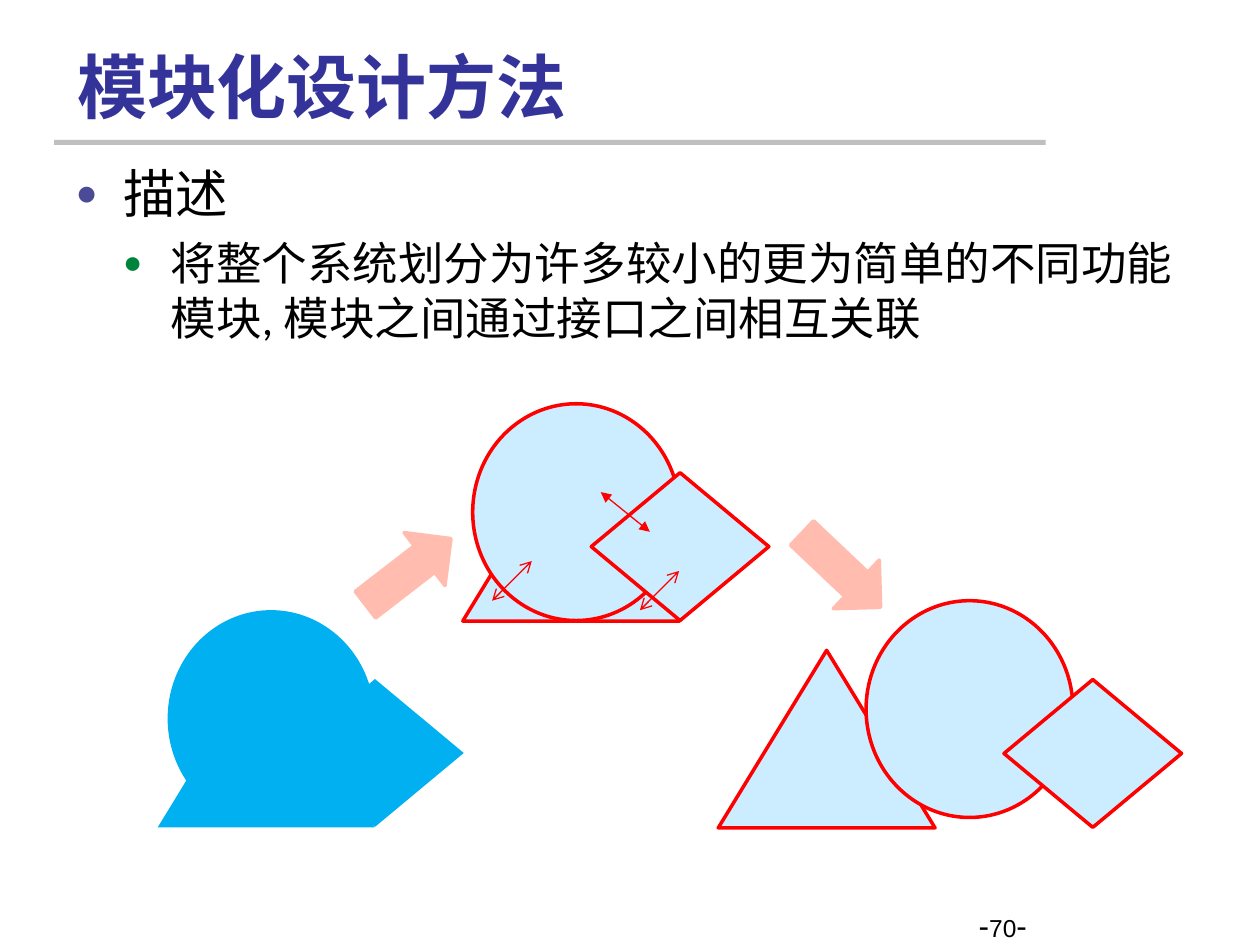
from lxml import etree
from pptx import Presentation
from pptx.dml.color import RGBColor
from pptx.enum.shapes import MSO_CONNECTOR, MSO_SHAPE
from pptx.enum.text import MSO_ANCHOR, MSO_AUTO_SIZE, PP_ALIGN
from pptx.oxml.ns import qn
from pptx.util import Cm, Pt

TRIANGLE = MSO_SHAPE.ISOSCELES_TRIANGLE
CIRCLE = MSO_SHAPE.OVAL
DIAMOND = MSO_SHAPE.FLOWCHART_DECISION
ARROW = MSO_SHAPE.RIGHT_ARROW
RECTANGLE = MSO_SHAPE.RECTANGLE
STRAIGHT = MSO_CONNECTOR.STRAIGHT
LEFT, TOP, BOTTOM = PP_ALIGN.LEFT, MSO_ANCHOR.TOP, MSO_ANCHOR.BOTTOM

# Content: lengths in cm
TITLE = "模块化设计方法"
POINTS = [  # text, level, size, space before, indent, bullet colour
    ("描述", 0, 30, 0, 0.96, "4A4A97"),
    ("将整个系统划分为许多较小的更为简单的不同功能模块, 模块之间通过接口之间相互关联",
     1, 26, 6.5, 1.92, "00843C"),
]
HANGING = 0.96
PAGE_NUMBER = [("-", 18), ("70", 14), ("-", 18)]

MODULE_SIZES = {TRIANGLE: (4.37, 3.58), CIRCLE: (4.17, 4.37), DIAMOND: (3.58, 2.98)}
JOINED = {TRIANGLE: (0, 0.8), CIRCLE: (0.2, 0), DIAMOND: (2.59, 1.39)}
SEPARATED = {TRIANGLE: (0, 1), CIRCLE: (2.98, 0), DIAMOND: (5.76, 1.59)}
INTERFACES = [  # from, to, arrowhead
    ((12.11, 9.92), (13.1, 10.72), "triangle"),
    ((9.92, 12.11), (10.72, 11.31), "arrow"),
    ((12.9, 12.3), (13.69, 11.51), "arrow"),
]
STAGES = [  # origin, module offsets, fill, outline, interfaces
    ((3.18, 12.3), JOINED, "00B0F0", None, []),
    ((9.33, 8.14), JOINED, "CCECFF", "FF0000", INTERFACES),
    ((14.48, 12.11), SEPARATED, "CCECFF", "FF0000", []),
]
STEPS = [(7.14, 10.85, 322.3), (15.87, 10.82, 43.4)]  # left, top, rotation
STEP_SIZE = (2.18, 1.35)


def colour(hex_value):
    return RGBColor.from_string(hex_value)


def place(shape, left, top, width, height):
    for side, value in dict(left=left, top=top, width=width, height=height).items():
        setattr(shape, side, Cm(value))


def set_frame(frame, anchor):
    settings = dict(word_wrap=True, auto_size=MSO_AUTO_SIZE.NONE, vertical_anchor=anchor)
    for name, value in settings.items():
        setattr(frame, name, value)


def add_run(paragraph, text, face, size, hex_value, bold=False):
    run = paragraph.add_run()
    run.text = text
    for name, value in dict(name=face, size=Pt(size), bold=bold).items():
        setattr(run.font, name, value)
    run.font.color.rgb = colour(hex_value)
    latin = run._r.get_or_add_rPr().find(qn("a:latin"))
    east_asian = etree.Element(qn("a:ea"), typeface=face)
    latin.addnext(east_asian)


def add_bullet(paragraph, indent, hex_value):
    props = paragraph._p.get_or_add_pPr()
    props.set("marL", str(Cm(indent)))
    props.set("indent", str(-Cm(HANGING)))
    tint = etree.SubElement(props, qn("a:buClr"))
    etree.SubElement(tint, qn("a:srgbClr"), val=hex_value)
    etree.SubElement(props, qn("a:buSzPct"), val="70000")
    etree.SubElement(props, qn("a:buFont"), typeface="Arial")
    etree.SubElement(props, qn("a:buChar"), char="●")


def add_figure(shapes, kind, box, fill, outline=None):
    figure = shapes.add_shape(kind, *map(Cm, box))
    figure.shadow.inherit = False
    figure.fill.solid()
    figure.fill.fore_color.rgb = colour(fill)
    if outline:
        figure.line.color.rgb = colour(outline)
        figure.line.width = Pt(2)
    else:
        figure.line.fill.background()
    return figure


def add_interface(shapes, start, end, head):
    link = shapes.add_connector(STRAIGHT, *map(Cm, start + end))
    link.line.color.rgb = colour("FF0000")
    link.line.width = Pt(0.75)
    outline = link.line._get_or_add_ln()
    for tag in ("a:headEnd", "a:tailEnd"):
        etree.SubElement(outline, qn(tag), type=head)
    etree.SubElement(link._element.spPr, qn("a:effectLst"))


def main():
    prs = Presentation()
    prs.slide_width, prs.slide_height = Cm(25.4), Cm(19.05)
    slide = prs.slides.add_slide(prs.slide_layouts[1])
    shapes = slide.shapes

    # Title and the rule under it
    title = shapes.title
    place(title, 1.3, 0.71, 20.96, 1.98)
    set_frame(title.text_frame, BOTTOM)
    heading = title.text_frame.paragraphs[0]
    heading.alignment = LEFT
    add_run(heading, TITLE, "Noto Sans CJK SC", 40, "333399", bold=True)
    add_figure(shapes, RECTANGLE, (1.09, 2.82, 19.99, 0.1), "BFBFBF")

    # Bulleted description
    body = slide.placeholders[1]
    place(body, 1.27, 3.12, 23.14, 15.93)
    set_frame(body.text_frame, TOP)
    for index, (text, level, size, before, indent, bullet) in enumerate(POINTS):
        frame = body.text_frame
        point = frame.add_paragraph() if index else frame.paragraphs[0]
        point.level = level
        point.space_before = Pt(before)
        add_bullet(point, indent, bullet)
        add_run(point, text, "Calibri", size, "000000")

    # Whole system, connected modules, separate modules
    for (left, top), offsets, fill, outline, interfaces in STAGES:
        stage = shapes.add_group_shape().shapes
        for kind, (dx, dy) in offsets.items():
            box = (left + dx, top + dy, *MODULE_SIZES[kind])
            add_figure(stage, kind, box, fill, outline)
        for interface in interfaces:
            add_interface(stage, *interface)

    # Arrows between the stages
    for left, top, rotation in STEPS:
        step = add_figure(shapes, ARROW, (left, top, *STEP_SIZE), "FFBCAF", "FFBCAF")
        step.rotation = rotation

    # Page number
    number = shapes.add_textbox(Cm(19.48), Cm(18.14), Cm(5.92), Cm(1.27))
    set_frame(number.text_frame, TOP)
    for text, size in PAGE_NUMBER:
        add_run(number.text_frame.paragraphs[0], text, "Arial", size, "000000")

    prs.save("out.pptx")


if __name__ == "__main__":
    main()
